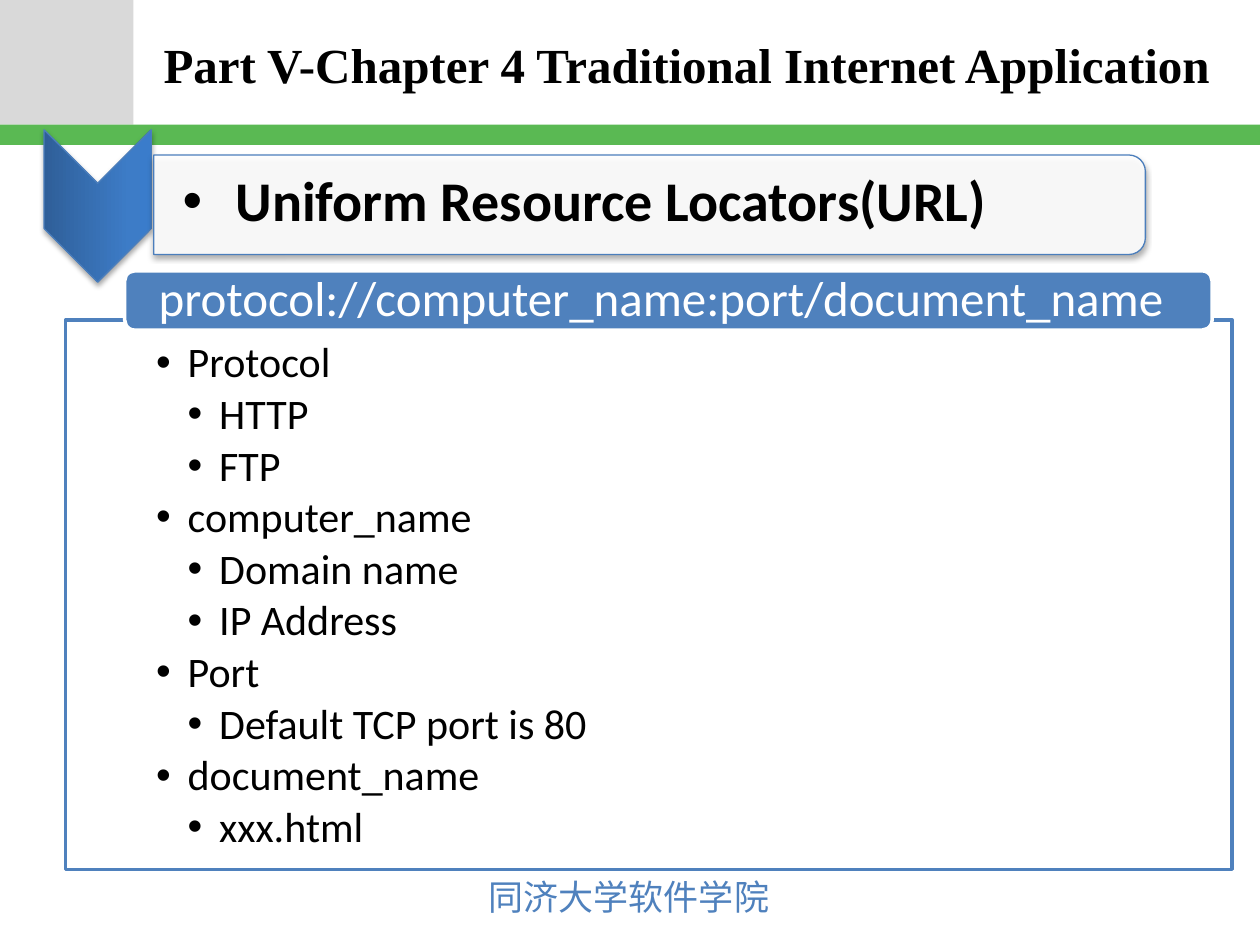
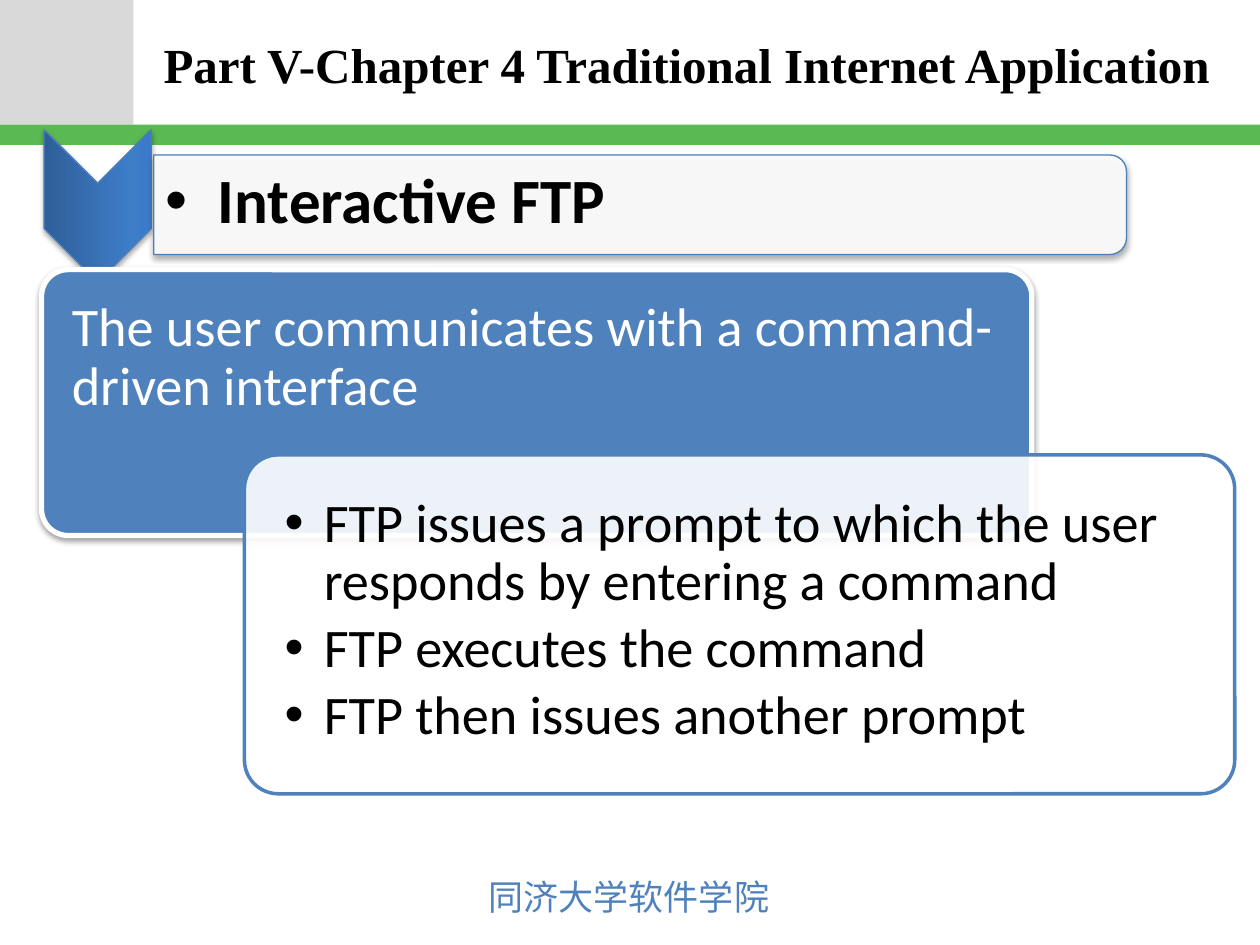
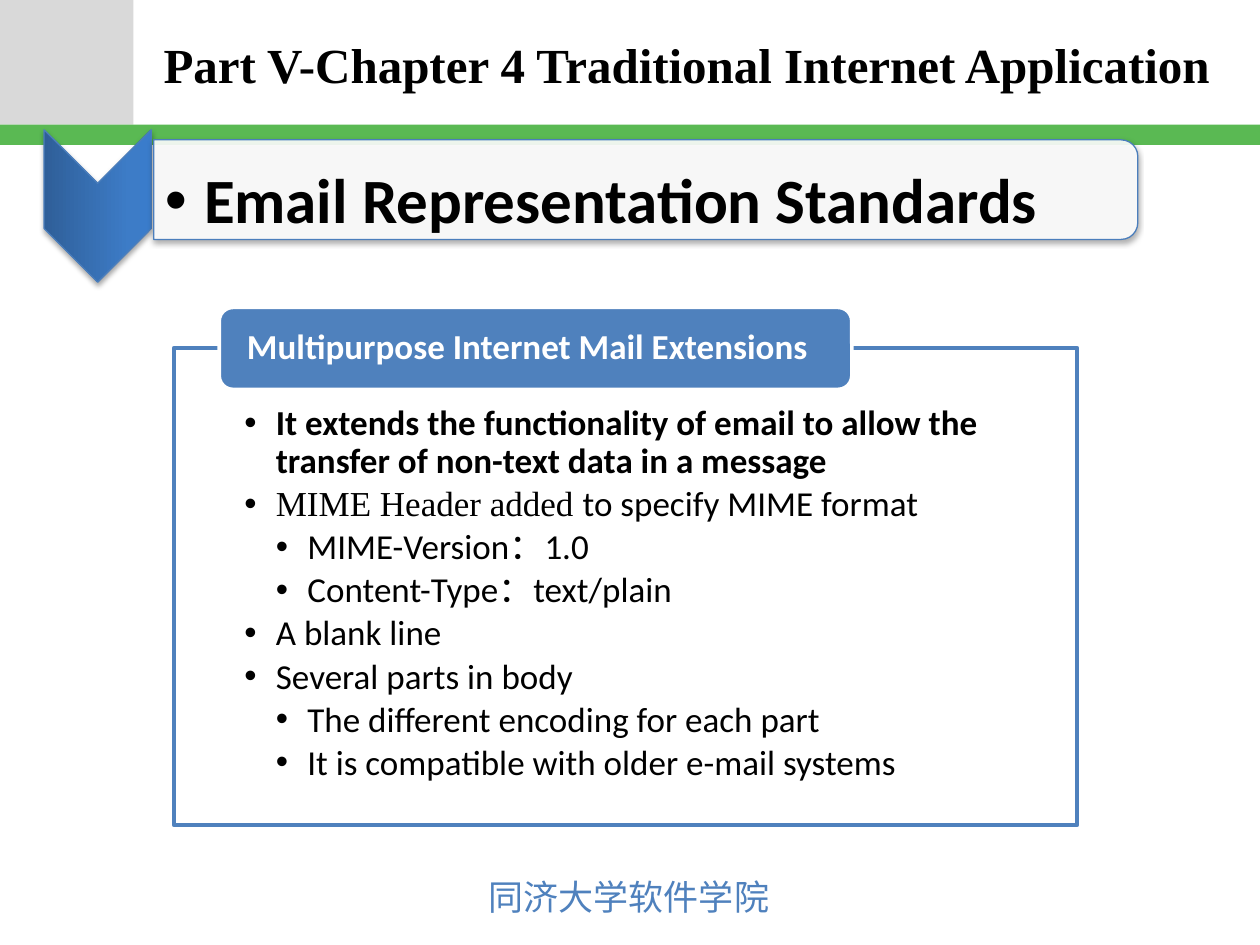
import pptx
import pptx.util
import pptx.dml.color
import pptx.enum.shapes
import pptx.enum.text
import pptx.oxml
import pptx.oxml.ns
from lxml import etree

Inches, Pt = pptx.util.Inches, pptx.util.Pt
Kind = pptx.enum.shapes.MSO_SHAPE
Mid = pptx.enum.text.MSO_ANCHOR.MIDDLE
Top = pptx.enum.text.MSO_ANCHOR.TOP
qn = pptx.oxml.ns.qn

# Content: a list item is (level, run, ...); a run is text or (text, format)
TITLE = "Part V-Chapter 4 Traditional Internet Application"
SCHOOL = "同济大学软件学院"
SERIF = {"name": "Times New Roman"}
BOLD = {"bold": True}

SLIDES = [
    {
        "head": "Uniform Resource Locators(URL)",
        "tab": {"top": 1.23, "width": 7.87, "left": 1.2, "hang": 0.42, "size": 32},
        "frame": {"box": (0.52, 2.54, 9.26, 4.36), "inset": (0.72, 0.17, 0.72, 0.19),
                  "size": 24},
        "label": {"box": (0.99, 2.15, 8.63, 0.47), "pad": 0.27, "size": 28,
                  "text": "protocol://computer_name:port/document_name"},
        "items": [
            (1, "Protocol"),
            (2, "HTTP"),
            (2, "FTP"),
            (1, "computer_name"),
            (2, "Domain name"),
            (2, "IP Address"),
            (1, "Port"),
            (2, "Default TCP port is 80"),
            (1, "document_name"),
            (2, "xxx.html"),
        ],
    },
    {
        "head": "Interactive FTP",
        "tab": {"top": 1.23, "width": 7.72, "left": 1.06, "hang": 0.42, "size": 36},
        "lead": "The user communicates with a command-driven interface",
        "items": [
            (1, "FTP issues a prompt to which the user responds by entering a command"),
            (1, "FTP executes the command"),
            (1, "FTP then issues another prompt"),
        ],
    },
    {
        "head": "Email Representation Standards",
        "tab": {"top": 1.11, "width": 7.81, "left": 1.06, "hang": 0.31, "size": 36},
        "frame": {"box": (1.38, 2.76, 7.17, 3.79), "inset": (0.56, 0.46, 0.56, 0.16),
                  "size": 20},
        "label": {"box": (1.74, 2.44, 5.02, 0.65), "pad": 0.22, "size": 20,
                  "bold": True, "text": "Multipurpose Internet Mail Extensions"},
        "items": [
            (1, ("It extends the functionality of email to allow the transfer of "
                 "non-text data in a message", BOLD)),
            (1, ("MIME Header added ", SERIF), "to specify MIME format"),
            (2, "MIME-Version：1.0"),
            (2, "Content-Type：text/plain"),
            (1, "A blank line"),
            (1, "Several parts in body"),
            (2, "The different encoding for each part"),
            (2, "It is compatible with older e-mail systems"),
        ],
    },
]

# Theme
THEME = {
    "grey": "D9D9D9", "green": "5AB953", "blue": "4F81BD", "edge": "4B7EBC",
    "white": "FFFFFF", "black": "000000",
    "ramp": [(0, "2F5F99"), (80, "3D7CC7"), (100, "3A7CCB")],
    "body": "Calibri", "serif": "Times New Roman", "cjk": "Noto Sans CJK JP",
    "title": 28, "foot": 20, "card": 31,
}
SOFT = (35, 1.8)    # shadow opacity in percent, distance in points
DEEP = (38, 1.6)


def rgb(name):
    return pptx.dml.color.RGBColor.from_string(THEME[name])


def node(xml):
    space = pptx.oxml.ns.nsdecls("a")
    return pptx.oxml.parse_xml(xml.replace(">", f" {space}>", 1))


def shade(shape, alpha, dist):
    """Soft shadow falling straight down."""
    shape.shadow.inherit = False
    shape._element.spPr.find(qn("a:effectLst")).append(node(
        f'<a:outerShdw blurRad="{Pt(3.1)}" dist="{Pt(dist)}" dir="5400000" '
        f'rotWithShape="0"><a:srgbClr val="000000">'
        f'<a:alpha val="{alpha * 1000}"/></a:srgbClr></a:outerShdw>'))


def draw(slide, kind, box, fill, line=None, width=2, clear=False, shadow=None):
    shape = slide.shapes.add_shape(kind, *map(Inches, box))
    shape.shadow.inherit = False
    shape.fill.solid()
    shape.fill.fore_color.rgb = rgb(fill)
    if clear:
        tint = shape._element.spPr.find(qn("a:solidFill"))[0]
        etree.SubElement(tint, qn("a:alpha"), val="90000")
    if line:
        shape.line.color.rgb = rgb(line)
        shape.line.width = Pt(width)
    else:
        shape.line.fill.background()
    if shadow:
        shade(shape, *shadow)
    return shape


def turn(slide, kind, box, **look):
    """Draw a shape that fills box once it is turned a quarter."""
    x, y, w, h = box
    shape = draw(slide, kind, (x + (w - h) / 2, y + (h - w) / 2, h, w), **look)
    shape.rotation = 90
    return shape


def write(slide, box, inset=(0.1, 0.05, 0.1, 0.05), anchor=Top, wrap=True):
    frame = slide.shapes.add_textbox(*map(Inches, box)).text_frame
    frame.word_wrap = wrap
    frame.vertical_anchor = anchor
    for side, gap in zip(("left", "top", "right", "bottom"), inset):
        setattr(frame, "margin_" + side, Inches(gap))
    return frame


def add(para, text, **look):
    run = para.add_run()
    run.text = text
    size, tint = look.pop("size"), look.pop("color", "black")
    look = {"name": THEME["body"], "size": Pt(size), **look}
    for key, value in look.items():
        setattr(run.font, key, value)
    run.font.color.rgb = rgb(tint)
    etree.SubElement(run._r.get_or_add_rPr(), qn("a:ea"), typeface=THEME["cjk"])


def space(para, after):
    para.line_spacing = 0.9
    para._p.get_or_add_pPr().append(node(
        f'<a:spcAft><a:spcPct val="{after * 1000}"/></a:spcAft>'))


def fill_list(frame, items, hang, **look):
    for i, (level, *runs) in enumerate(items):
        para = frame.add_paragraph() if i else frame.paragraphs[0]
        para.level = level
        space(para, 15)
        props = para._p.get_or_add_pPr()
        props.set("marL", str(Inches(hang * level)))
        props.set("indent", str(-Inches(hang)))
        etree.SubElement(props, qn("a:buFont"), typeface="Arial")
        etree.SubElement(props, qn("a:buChar"), char="•")
        for run in runs:
            text, extra = (run, {}) if isinstance(run, str) else run
            add(para, text, **{**look, **extra})


# Title, bands and footer on every slide
def base(slide):
    draw(slide, Kind.RECTANGLE, (0, 0, 1.06, 0.99), "grey")
    draw(slide, Kind.RECTANGLE, (0, 0.99, 10, 0.16), "green")
    foot = write(slide, (3.78, 6.9, 2.45, 0.44), wrap=False)
    foot.auto_size = pptx.enum.text.MSO_AUTO_SIZE.SHAPE_TO_FIT_TEXT
    add(foot.paragraphs[0], SCHOOL, size=THEME["foot"], color="blue",
        name=THEME["cjk"])
    title = write(slide, (1.2, 0.02, 8.6, 0.98), anchor=Mid)
    add(title.paragraphs[0], TITLE, size=THEME["title"], name=THEME["serif"],
        bold=True)


# Chevron and heading tab
def heading(slide, text, tab):
    mark = turn(slide, Kind.CHEVRON, (0.35, 1.03, 0.85, 1.21), fill="blue",
                line="edge", width=0.75, shadow=SOFT)
    stops = "".join(f'<a:gs pos="{at * 1000}"><a:srgbClr val="{tint}"/></a:gs>'
                    for at, tint in THEME["ramp"])
    props = mark._element.spPr
    props.replace(props.find(qn("a:solidFill")), node(
        f'<a:gradFill rotWithShape="1"><a:gsLst>{stops}</a:gsLst>'
        f'<a:lin ang="16200000" scaled="0"/></a:gradFill>'))
    turn(slide, Kind.ROUND_2_SAME_RECTANGLE, (1.22, tab["top"], tab["width"], 0.79),
         fill="white", line="edge", width=0.75, clear=True, shadow=SOFT)
    frame = write(slide, (tab["left"], 1.26, tab["width"] - 0.04, 0.71),
                  (0.25, 0.02, 0.02, 0.02), Mid)
    fill_list(frame, [(1, text)], tab["hang"], size=tab["size"], bold=True)


# Outlined list with a label on its top edge
def panel(slide, frame, label, items):
    draw(slide, Kind.RECTANGLE, frame["box"], "white", "blue", clear=True)
    fill_list(write(slide, frame["box"], frame["inset"]), items, 0.25,
              size=frame["size"])
    draw(slide, Kind.ROUNDED_RECTANGLE, label["box"], "blue", "white")
    pad = label["pad"]
    para = write(slide, label["box"], (pad, 0, pad, 0), Mid).paragraphs[0]
    space(para, 35)
    add(para, label["text"], size=label["size"], color="white",
        bold=label.get("bold", False))


# Two overlapping cards
def cards(slide, lead, items):
    size, inset = THEME["card"], (0.24,) * 4
    back = draw(slide, Kind.ROUNDED_RECTANGLE, (0.33, 2.14, 7.86, 2.11),
                "blue", "white", 3, shadow=DEEP)
    para = write(slide, (0.33, 2.14, 7.86, 1.41), inset).paragraphs[0]
    space(para, 35)
    add(para, lead, size=size, color="white")
    front = draw(slide, Kind.ROUNDED_RECTANGLE, (1.94, 3.61, 7.86, 2.69),
                 "white", "blue", clear=True)
    fill_list(write(slide, (2.02, 3.69, 7.7, 2.54), inset), items, 0.31, size=size)
    for card in (back, front):
        card.adjustments[0] = 0.1


def main():
    deck = pptx.Presentation()
    deck.slide_width, deck.slide_height = Inches(10), Inches(7.5)
    for data in SLIDES:
        slide = deck.slides.add_slide(deck.slide_layouts[6])
        base(slide)
        heading(slide, data["head"], data["tab"])
        if "lead" in data:
            cards(slide, data["lead"], data["items"])
        else:
            panel(slide, data["frame"], data["label"], data["items"])
    deck.save("out.pptx")


if __name__ == "__main__":
    main()
